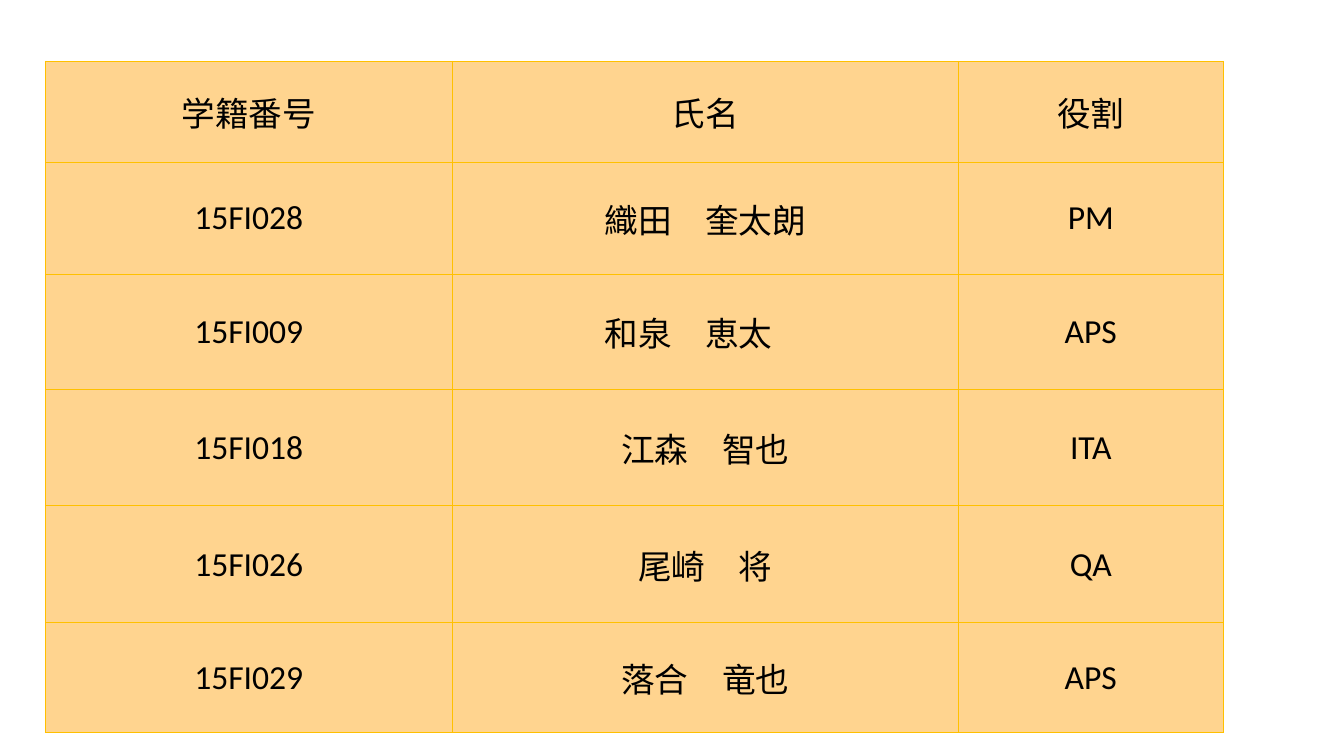
from dataclasses import astuple, dataclass

from pptx import Presentation
from pptx.dml.color import RGBColor
from pptx.enum.text import MSO_ANCHOR, PP_ALIGN
from pptx.oxml import parse_xml
from pptx.oxml.ns import nsdecls, qn
from pptx.table import _Cell as Cell
from pptx.util import Cm, Pt

COLORS = {"cell": "FFD48F", "border": "FFC000", "text": "000000"}
LATIN_FONT = "Calibri"
JAPANESE_FONT = "Noto Sans CJK JP"
BORDER_WIDTH = Pt(0.5)
COLUMN_WIDTHS = (10.26, 12.75, 6.68)
NAME_COLUMN = 1


@dataclass(frozen=True)
class Member:
    student_id: str
    name: str
    role: str


@dataclass(frozen=True)
class RosterRow:
    height: float
    member: Member


ROSTER = (
    RosterRow(2.54, Member("学籍番号", "氏名", "役割")),
    RosterRow(2.82, Member("15FI028", "織田　奎太朗", "PM")),
    RosterRow(2.92, Member("15FI009", "和泉　恵太　", "APS")),
    RosterRow(2.92, Member("15FI018", "江森　智也", "ITA")),
    RosterRow(2.95, Member("15FI026", "尾崎　将", "QA")),
    RosterRow(2.77, Member("15FI029", "落合　竜也", "APS")),
)


def add_borders(cell: Cell) -> None:
    properties = cell._tc.get_or_add_tcPr()
    for side in ("lnL", "lnR", "lnT", "lnB"):
        properties.append(parse_xml(
            f'<a:{side} {nsdecls("a")} w="{BORDER_WIDTH}"><a:solidFill>'
            f'<a:srgbClr val="{COLORS["border"]}"/></a:solidFill></a:{side}>'
        ))


def write_cell(cell: Cell, text: str, latin_font: str) -> None:
    cell.text = text
    cell.vertical_anchor = MSO_ANCHOR.MIDDLE
    cell.margin_left = cell.margin_right = cell.margin_top = Cm(0.03)
    cell.margin_bottom = 0
    add_borders(cell)
    cell.fill.solid()
    cell.fill.fore_color.rgb = RGBColor.from_string(COLORS["cell"])

    paragraph = cell.text_frame.paragraphs[0]
    paragraph.alignment = PP_ALIGN.CENTER
    paragraph.font.size = Pt(24)
    paragraph.font.name = latin_font
    paragraph.font.color.rgb = RGBColor.from_string(COLORS["text"])
    defaults = paragraph._p.pPr.find(qn("a:defRPr"))
    defaults.append(parse_xml(f'<a:ea {nsdecls("a")} typeface="{JAPANESE_FONT}"/>'))


def main() -> None:
    presentation = Presentation()
    presentation.slide_width = Cm(33.87)
    presentation.slide_height = Cm(19.05)
    slide = presentation.slides.add_slide(presentation.slide_layouts[6])

    roster = slide.shapes.add_table(
        len(ROSTER), len(COLUMN_WIDTHS), Cm(1.14), Cm(1.54),
        Cm(sum(COLUMN_WIDTHS)), Cm(sum(row.height for row in ROSTER)),
    ).table
    roster.first_row = False
    roster.horz_banding = False

    for column, width in zip(roster.columns, COLUMN_WIDTHS):
        column.width = Cm(width)
    for row_index, row in enumerate(ROSTER):
        roster.rows[row_index].height = Cm(row.height)
        for column_index, text in enumerate(astuple(row.member)):
            is_person = row_index > 0 and column_index == NAME_COLUMN
            latin_font = JAPANESE_FONT if is_person else LATIN_FONT
            write_cell(roster.cell(row_index, column_index), text, latin_font)

    presentation.save("out.pptx")


if __name__ == "__main__":
    main()
